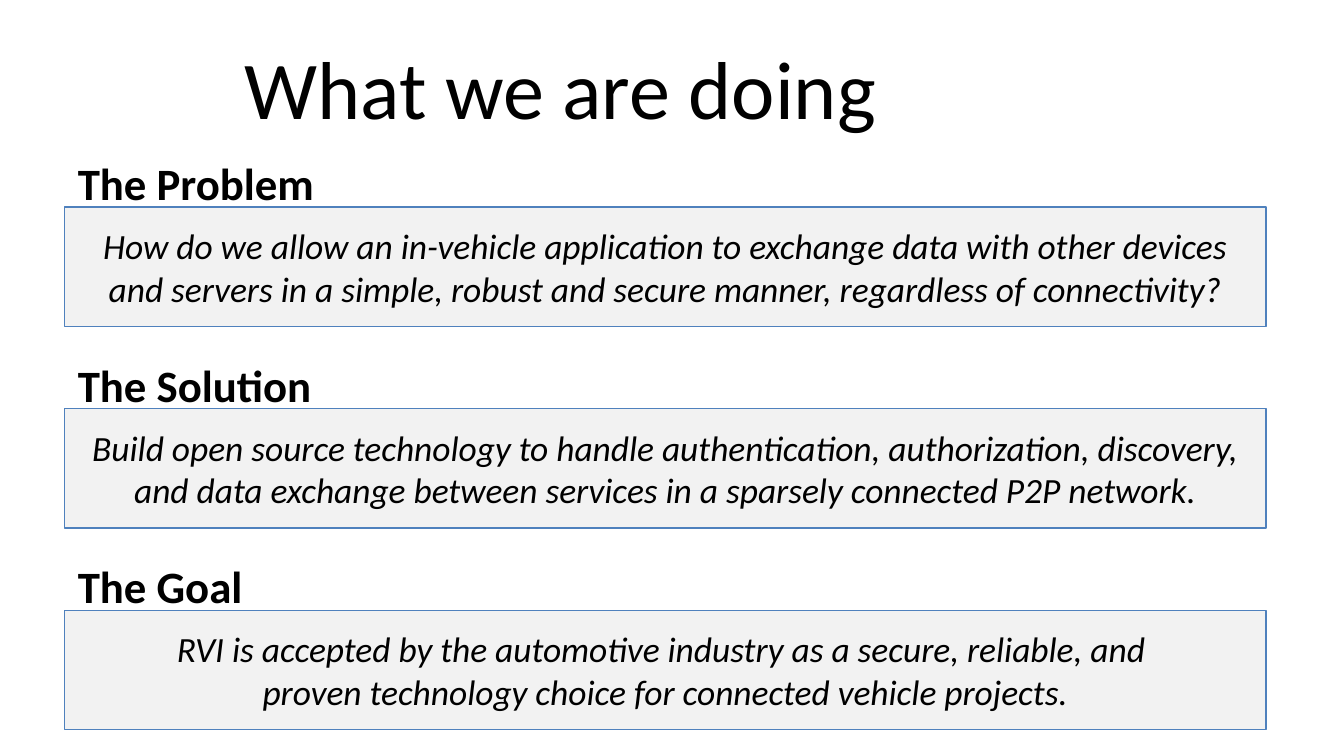
from dataclasses import dataclass

from pptx import Presentation
from pptx.dml.color import RGBColor
from pptx.enum.shapes import MSO_SHAPE
from pptx.enum.text import MSO_ANCHOR, MSO_AUTO_SIZE, PP_ALIGN
from pptx.util import Pt

RECTANGLE = MSO_SHAPE.RECTANGLE
TOP, MIDDLE = MSO_ANCHOR.TOP, MSO_ANCHOR.MIDDLE
LEFT, CENTER = PP_ALIGN.LEFT, PP_ALIGN.CENTER
NO_AUTOSIZE = MSO_AUTO_SIZE.NONE
TITLE_ONLY = 5


@dataclass(frozen=True)
class Theme:
    font: str = "Calibri"
    ink: RGBColor = RGBColor(0x00, 0x00, 0x00)
    panel: RGBColor = RGBColor(0xF2, 0xF2, 0xF2)
    outline: RGBColor = RGBColor(0x4F, 0x81, 0xBD)
    title_size: float = 44
    heading_size: float = 24
    body_size: float = 19
    outline_width: float = 0.75


THEME = Theme()

SECTIONS = [
    ("The Problem",
     "How do we allow an in-vehicle application to exchange data with other "
     "devices and servers in a simple, robust and secure manner, regardless "
     "of connectivity?"),
    ("The Solution",
     "Build open source technology to handle authentication, authorization, "
     "discovery, and data exchange between services in a sparsely connected "
     "P2P network."),
    ("The Goal",
     "RVI is accepted by the automotive industry as a secure, reliable, and \n"
     "proven technology choice for connected vehicle projects."),
]


def write(shape, text, size, align, anchor, **style):
    """Fill a shape with one formatted paragraph."""
    frame = shape.text_frame
    frame_format = {
        "word_wrap": True, "auto_size": NO_AUTOSIZE, "vertical_anchor": anchor,
        "margin_left": Pt(7.2), "margin_right": Pt(7.2),
        "margin_top": Pt(3.6), "margin_bottom": Pt(3.6),
    }
    for name, value in frame_format.items():
        setattr(frame, name, value)
    para = frame.paragraphs[0]
    para.text = text
    para.alignment = align
    font_format = {"name": THEME.font, "size": Pt(size), **style}
    for span in para.runs:
        for name, value in font_format.items():
            setattr(span.font, name, value)
        span.font.color.rgb = THEME.ink


def place_title(page, text, left, top, width, height):
    title = page.shapes.title
    title.left, title.top = Pt(left), Pt(top)
    title.width, title.height = Pt(width), Pt(height)
    write(title, text, THEME.title_size, CENTER, TOP)


def place_section(page, heading, statement, left, top, width, height):
    """Draw a statement panel with its heading above, inside the given box."""
    panel_offset = 31

    # Statement panel
    panel = page.shapes.add_shape(RECTANGLE, Pt(left), Pt(top + panel_offset),
                                  Pt(width), Pt(height - panel_offset))
    panel.shadow.inherit = False
    panel.fill.solid()
    panel.fill.fore_color.rgb = THEME.panel
    panel.line.color.rgb = THEME.outline
    panel.line.width = Pt(THEME.outline_width)
    write(panel, statement, THEME.body_size, CENTER, MIDDLE, italic=True)

    # Heading
    label = page.shapes.add_textbox(Pt(left), Pt(top), Pt(191.5), Pt(36))
    write(label, heading, THEME.heading_size, LEFT, TOP, bold=True)


def build_page(deck):
    page = deck.slides.add_slide(deck.slide_layouts[TITLE_ONLY])
    place_title(page, "What we are doing", 17.3, 16.6, 566, 67.7)

    # Three sections at an equal pitch
    first_top, pitch = 80, 108
    for index, (heading, statement) in enumerate(SECTIONS):
        place_section(page, heading, statement,
                      34.6, first_top + index * pitch, 643.7, 95)


def main():
    deck = Presentation()
    deck.slide_width, deck.slide_height = Pt(720), Pt(405)
    build_page(deck)
    deck.save("out.pptx")


if __name__ == "__main__":
    main()
